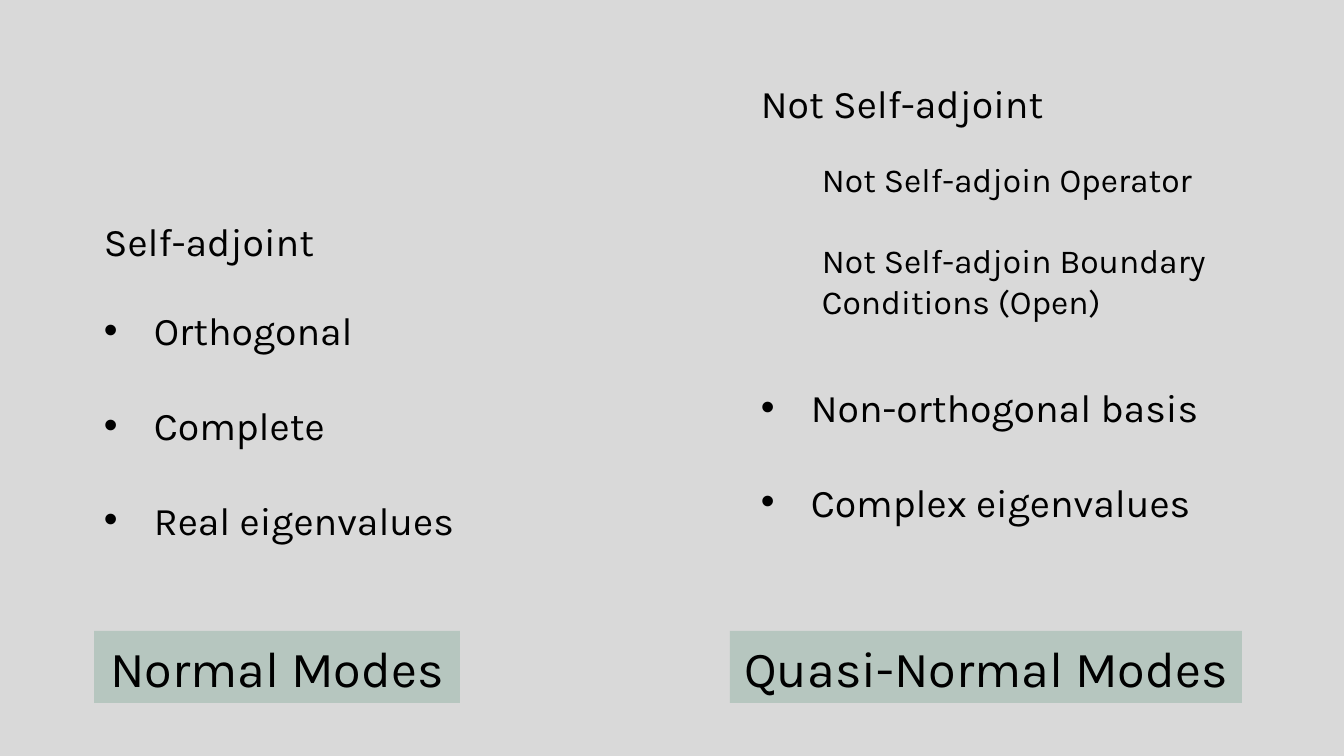
from lxml.etree import SubElement
from pptx import Presentation
from pptx.dml.color import RGBColor
from pptx.enum.shapes import MSO_SHAPE as Shape
from pptx.enum.text import MSO_ANCHOR as Anchor, MSO_AUTO_SIZE as Fit, PP_ALIGN as Align
from pptx.oxml.ns import qn
from pptx.util import Pt

PX = 914400 / 100.8
BLACK = RGBColor(0x00, 0x00, 0x00)
GREY = RGBColor(0xD9, 0xD9, 0xD9)
SAGE = RGBColor(0xB6, 0xC6, 0xBF)


def px(*sizes):
    return [round(size * PX) for size in sizes]


class Deck:
    font = "Karla"
    gap = 1.22  # space between items, in text sizes
    indent = 50

    def __init__(self, wide, high):
        self.prs = Presentation()
        self.prs.slide_width, self.prs.slide_height = px(wide, high)
        self.slide = self.prs.slides.add_slide(self.prs.slide_layouts[6])
        fill = self.slide.background.fill
        fill.solid()
        fill.fore_color.rgb = GREY

    def style(self, para, size):
        for run in para.runs:
            run.font.name = self.font
            run.font.size = Pt(size)
            run.font.color.rgb = BLACK

    def bullet(self, para):
        props = para._p.get_or_add_pPr()
        step, = px(self.indent)
        props.set("marL", str(step))
        props.set("indent", str(-step))
        SubElement(props, qn("a:buFont")).set("typeface", "Arial")
        SubElement(props, qn("a:buChar")).set("char", "•")

    def text(self, box, lines, size=28, dots=False):
        frame = self.slide.shapes.add_textbox(*px(*box)).text_frame
        frame.word_wrap = True
        frame.auto_size = Fit.SHAPE_TO_FIT_TEXT
        frame.text = "\n".join(lines)
        for i, para in enumerate(frame.paragraphs):
            if i:
                para.space_before = Pt(round(size * self.gap, 1))
            if dots:
                self.bullet(para)
            self.style(para, size)

    def label(self, box, words, size=36):
        shape = self.slide.shapes.add_shape(Shape.RECTANGLE, *px(*box))
        shape.shadow.inherit = False
        shape.fill.solid()
        shape.fill.fore_color.rgb = SAGE
        shape.line.fill.background()
        frame = shape.text_frame
        frame.word_wrap = True
        frame.auto_size = Fit.SHAPE_TO_FIT_TEXT
        frame.vertical_anchor = Anchor.MIDDLE
        frame.text = words
        para = frame.paragraphs[0]
        para.alignment = Align.CENTER
        self.style(para, size)


def main():
    deck = Deck(1344, 756)

    # Normal modes, left
    deck.text((94, 212, 372, 57), ["Self-adjoint"])
    deck.text((94, 301, 372, 248),
              ["Orthogonal", "Complete", "Real eigenvalues"], dots=True)

    # Quasi-normal modes, right
    deck.text((751, 74, 470, 57), ["Not Self-adjoint"])
    deck.text((812, 154, 411, 173),
              ["Not Self-adjoin Operator",
               "Not Self-adjoin Boundary Conditions (Open)"], size=24)
    deck.text((751, 378, 512, 152),
              ["Non-orthogonal basis", "Complex eigenvalues"], dots=True)

    # Labels along the foot
    deck.label((730, 631, 512, 72), "Quasi-Normal Modes")
    deck.label((94, 631, 366, 72), "Normal Modes")

    deck.prs.save("out.pptx")


if __name__ == "__main__":
    main()
